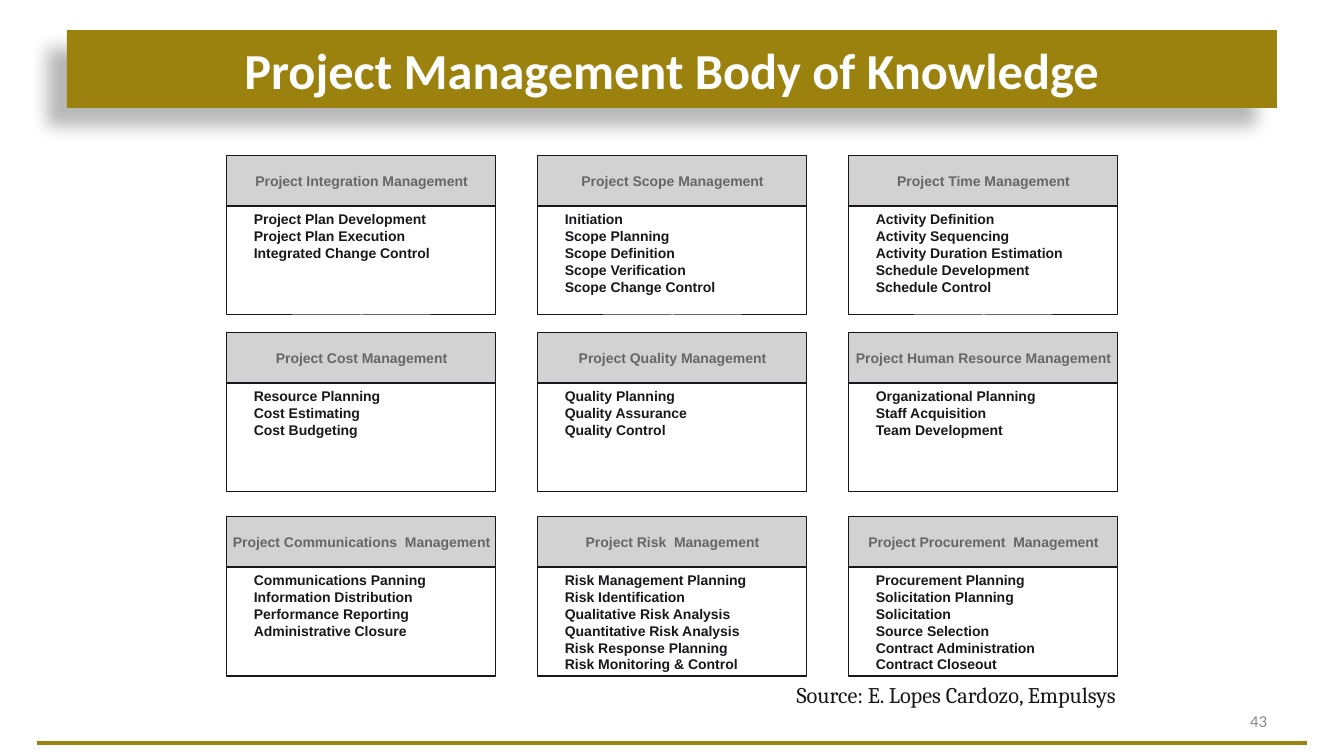
from lxml import etree
from pptx import Presentation
from pptx.dml.color import RGBColor
from pptx.enum.shapes import MSO_CONNECTOR as Connector, MSO_SHAPE as Preset
from pptx.enum.text import MSO_ANCHOR as Anchor, PP_ALIGN as Align
from pptx.oxml import parse_xml
from pptx.oxml.ns import nsdecls, qn
from pptx.util import Emu, Pt

EMU_PER_PX = 914400 / 100.8
GOLD, INK, WHITE = "9B810D", "19171C", "FFFFFF"
HEADER_FILL, HEADER_TEXT, NUMBER_TEXT = "D2D2D2", "666666", "8C8C8D"

COLUMN_LEFT, COLUMN_PITCH, CARD_WIDTH = 227, 311, 269
ROW_TOPS = (156, 333, 517)
HEADER_HEIGHT, BODY_HEIGHT, LIST_INDENT = 50, 109, 17

KNOWLEDGE_AREAS = [
    [
        ("Project Integration Management",
         ["Project Plan Development", "Project Plan Execution", "Integrated Change Control"]),
        ("Project Scope Management",
         ["Initiation", "Scope Planning", "Scope Definition", "Scope Verification",
          "Scope Change Control"]),
        ("Project Time Management",
         ["Activity Definition", "Activity Sequencing", "Activity Duration Estimation",
          "Schedule Development", "Schedule Control"]),
    ],
    [
        ("Project Cost Management",
         ["Resource Planning", "Cost Estimating", "Cost Budgeting"]),
        ("Project Quality Management",
         ["Quality Planning", "Quality Assurance", "Quality Control"]),
        ("Project Human Resource Management",
         ["Organizational Planning", "Staff Acquisition", "Team Development"]),
    ],
    [
        ("Project Communications  Management",
         ["Communications Panning", "Information Distribution", "Performance Reporting",
          "Administrative Closure"]),
        ("Project Risk  Management",
         ["Risk Management Planning", "Risk Identification", "Qualitative Risk Analysis",
          "Quantitative Risk Analysis", "Risk Response Planning", "Risk Monitoring & Control"]),
        ("Project Procurement  Management",
         ["Procurement Planning", "Solicitation Planning", "Solicitation", "Source Selection",
          "Contract Administration", "Contract Closeout"]),
    ],
]


def px(length):
    return Emu(round(length * EMU_PER_PX))


def color(value):
    return RGBColor.from_string(value)


class SlideBuilder:
    def __init__(self, slide, font="Arial"):
        self.slide = slide
        self.font = font

    def rectangle(self, left, top, width, height, fill=None, line=None):
        shape = self.slide.shapes.add_shape(
            Preset.RECTANGLE, px(left), px(top), px(width), px(height))
        shape.shadow.inherit = False
        if fill:
            shape.fill.solid()
            shape.fill.fore_color.rgb = color(fill)
        else:
            shape.fill.background()
        if line:
            shape.line.color.rgb = color(line)
            shape.line.width = Pt(0.75)
        else:
            shape.line.fill.background()
        return shape

    def text_box(self, left, top, width, height):
        return self.slide.shapes.add_textbox(px(left), px(top), px(width), px(height))

    def add_text(self, shape, lines, size, text_color, bold=False, align=Align.LEFT,
                 anchor=Anchor.TOP, wrap=True, spacing=None, font=None):
        frame = shape.text_frame
        frame.word_wrap = wrap
        frame.vertical_anchor = anchor
        for index, line in enumerate(lines):
            paragraph = frame.add_paragraph() if index else frame.paragraphs[0]
            paragraph.alignment = align
            paragraph.line_spacing = spacing
            run = paragraph.add_run()
            run.text = line
            run.font.name = font or self.font
            run.font.size = Pt(size)
            run.font.bold = bold
            run.font.color.rgb = color(text_color)

    def cast_shadow(self, shape, blur, distance, angle, opacity):
        effects = shape._element.spPr.find(qn("a:effectLst"))
        effects.append(parse_xml(
            f'<a:outerShdw {nsdecls("a")} blurRad="{Pt(blur)}" dist="{Pt(distance)}" '
            f'dir="{angle * 60000}" algn="ctr" rotWithShape="0"><a:srgbClr val="000000">'
            f'<a:alpha val="{opacity * 1000}"/></a:srgbClr></a:outerShdw>'))

    def rule(self, left, right, top, line, width):
        connector = self.slide.shapes.add_connector(
            Connector.STRAIGHT, px(left), px(top), px(right), px(top))
        connector.line.color.rgb = color(line)
        connector.line.width = Pt(width)
        etree.SubElement(connector._element.spPr, qn("a:effectLst"))

    def card(self, left, top, heading, processes):
        header = self.rectangle(left, top, CARD_WIDTH, HEADER_HEIGHT, HEADER_FILL, INK)
        self.add_text(header, [heading], 10, HEADER_TEXT, bold=True, align=Align.CENTER,
                      anchor=Anchor.MIDDLE, wrap=False)
        body_top = top + HEADER_HEIGHT
        process_list = self.text_box(
            left + LIST_INDENT, body_top, CARD_WIDTH - LIST_INDENT, BODY_HEIGHT)
        self.add_text(process_list, processes, 10, INK, bold=True, spacing=Pt(12))
        self.rectangle(left, body_top, CARD_WIDTH, BODY_HEIGHT, line=INK)


def main():
    presentation = Presentation()
    presentation.slide_width = px(1344)
    presentation.slide_height = px(756)
    builder = SlideBuilder(presentation.slides.add_slide(presentation.slide_layouts[6]))

    builder.rule(37, 1307, 743, GOLD, 2.25)
    title = builder.rectangle(67, 30, 1210, 78, GOLD)
    builder.cast_shadow(title, blur=11.8, distance=19.7, angle=141, opacity=28)
    builder.add_text(title, ["Project Management Body of Knowledge"], 36, WHITE, bold=True,
                     align=Align.CENTER, anchor=Anchor.MIDDLE, font="Calibri")

    for top, row in zip(ROW_TOPS, KNOWLEDGE_AREAS):
        for column, (heading, processes) in enumerate(row):
            builder.card(COLUMN_LEFT + column * COLUMN_PITCH, top, heading, processes)

    source = builder.text_box(767, 676, 359, 37)
    builder.add_text(source, ["Source: E. Lopes Cardozo, Empulsys"], 16, INK,
                     align=Align.RIGHT, font="Cambria")
    number = builder.text_box(964, 701, 313, 40)
    builder.add_text(number, ["43"], 12, NUMBER_TEXT, align=Align.RIGHT,
                     anchor=Anchor.MIDDLE, font="Calibri")

    presentation.save("out.pptx")


if __name__ == "__main__":
    main()
